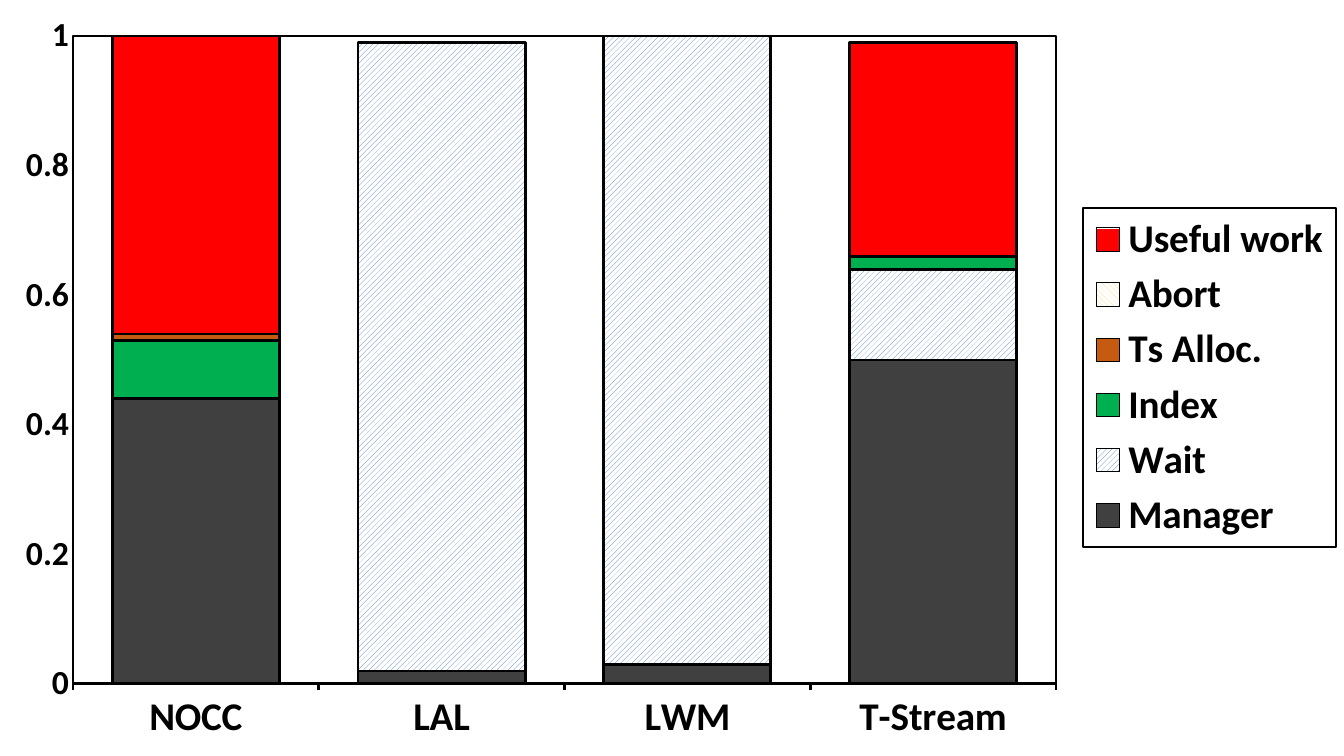
from lxml import etree
from pptx import Presentation
from pptx.chart.data import CategoryChartData
from pptx.dml.color import RGBColor
from pptx.enum.chart import XL_CHART_TYPE, XL_LEGEND_POSITION, XL_TICK_MARK
from pptx.enum.dml import MSO_PATTERN
from pptx.oxml import parse_xml
from pptx.oxml.ns import nsdecls, qn
from pptx.util import Pt

STACKED = XL_CHART_TYPE.COLUMN_STACKED
LEGEND_RIGHT = XL_LEGEND_POSITION.RIGHT
TICK_NONE, TICK_OUTSIDE = XL_TICK_MARK.NONE, XL_TICK_MARK.OUTSIDE
WIDE_UP = MSO_PATTERN.WIDE_UPWARD_DIAGONAL
WIDE_DOWN = MSO_PATTERN.WIDE_DOWNWARD_DIAGONAL
DARK_VERTICAL = MSO_PATTERN.DARK_VERTICAL
DARK_HORIZONTAL = MSO_PATTERN.DARK_HORIZONTAL

SLIDE_WIDTH, SLIDE_HEIGHT = 1344, 756
EMU_PER_PX = 914400 / 100.8
FONT = "Calibri"
LINE_WIDTH = Pt(2)
COLORS = {
    "black": "000000",
    "white": "FFFFFF",
    "manager": "404040",
    "wait": "4472C4",
    "index": "00B050",
    "timestamp": "C55A11",
    "abort": "FFD966",
    "useful": "FF0000",
}
CATEGORIES = ["NOCC", "LAL", "LWM", "T-Stream"]
SERIES = [
    ("Manager", (0.44, 0.02, 0.03, 0.5), "manager", None),
    ("Wait", (0, 0.97, 0.97, 0.14), "wait", WIDE_UP),
    ("Index", (0.09, 0, 0, 0.02), "index", DARK_VERTICAL),
    ("Ts Alloc.", (0.01, 0, 0, 0), "timestamp", None),
    ("Abort", (0, 0, 0, 0), "abort", WIDE_DOWN),
    ("Useful work", (0.46, 0, 0, 0.33), "useful", DARK_HORIZONTAL),
]
PLOT_BOX = (73, 36, 983, 648)
LEGEND_BOX = (1083, 208, 253, 339)


def px(length):
    return round(length * EMU_PER_PX)


def color(name):
    return RGBColor.from_string(COLORS[name])


def style_font(font, size, bold=True):
    font.name = FONT
    font.size = Pt(size)
    font.bold = bold
    font.color.rgb = color("black")


def style_line(line):
    line.width = LINE_WIDTH
    line.color.rgb = color("black")


def manual_layout(box, chart_box, inner):
    left, top, width, height = box
    chart_left, chart_top, chart_width, chart_height = chart_box
    layout = etree.Element(qn("c:layout"))
    manual = etree.SubElement(layout, qn("c:manualLayout"))
    settings = [("layoutTarget", "inner")] if inner else []
    settings += [
        ("xMode", "edge"),
        ("yMode", "edge"),
        ("x", (left - chart_left) / chart_width),
        ("y", (top - chart_top) / chart_height),
        ("w", width / chart_width),
        ("h", height / chart_height),
    ]
    for tag, value in settings:
        etree.SubElement(manual, qn(f"c:{tag}")).set("val", str(value))
    return layout


def frame_properties():
    return parse_xml(
        f'<c:spPr {nsdecls("c", "a")}><a:noFill/><a:ln w="{LINE_WIDTH}">'
        f'<a:solidFill><a:srgbClr val="{COLORS["black"]}"/></a:solidFill>'
        "</a:ln></c:spPr>"
    )


def place_region(region, box, chart_box, inner=False):
    for layout in region.findall(qn("c:layout")):
        region.remove(layout)
    layout = manual_layout(box, chart_box, inner)
    if inner:
        region.insert(0, layout)
        region.append(frame_properties())
    else:
        region.find(qn("c:legendPos")).addnext(layout)
        region.find(qn("c:overlay")).addnext(frame_properties())


def style_series(plot):
    for series, (_, _, color_name, pattern) in zip(plot.series, SERIES):
        fill = series.format.fill
        if pattern is None:
            fill.solid()
            fill.fore_color.rgb = color(color_name)
        else:
            fill.patterned()
            fill.pattern = pattern
            fill.fore_color.rgb = color(color_name)
            fill.back_color.rgb = color("white")
        style_line(series.format.line)
        series.invert_if_negative = False


def style_axes(chart):
    category_axis = chart.category_axis
    category_axis.major_tick_mark = TICK_OUTSIDE
    category_axis.has_major_gridlines = False
    style_line(category_axis.format.line)
    style_font(category_axis.tick_labels.font, 28)

    value_axis = chart.value_axis
    value_axis.minimum_scale = 0
    value_axis.maximum_scale = 1
    value_axis.major_unit = 0.2
    value_axis.has_major_gridlines = False
    value_axis.major_tick_mark = TICK_NONE
    value_axis.format.line.fill.background()
    value_axis.tick_labels.number_format = "General"
    value_axis.tick_labels.number_format_is_linked = False
    style_font(value_axis.tick_labels.font, 24)


def add_breakdown_chart(slide, box):
    data = CategoryChartData()
    data.categories = CATEGORIES
    for name, values, _, _ in SERIES:
        data.add_series(name, values)
    chart = slide.shapes.add_chart(STACKED, *map(px, box), data).chart
    style_font(chart.font, 10, bold=False)
    chart.has_title = False

    plot = chart.plots[0]
    plot.gap_width = 47
    plot.overlap = 100
    plot.vary_by_categories = False
    style_series(plot)
    style_axes(chart)

    chart.has_legend = True
    chart.legend.position = LEGEND_RIGHT
    chart.legend.include_in_layout = False
    style_font(chart.legend.font, 28)

    chart_element = chart.element.find(qn("c:chart"))
    place_region(chart_element.find(qn("c:plotArea")), PLOT_BOX, box, inner=True)
    place_region(chart_element.find(qn("c:legend")), LEGEND_BOX, box)


def main():
    presentation = Presentation()
    presentation.slide_width = px(SLIDE_WIDTH)
    presentation.slide_height = px(SLIDE_HEIGHT)
    slide = presentation.slides.add_slide(presentation.slide_layouts[6])
    add_breakdown_chart(slide, (0, 0, SLIDE_WIDTH, SLIDE_HEIGHT))
    presentation.save("out.pptx")


if __name__ == "__main__":
    main()
